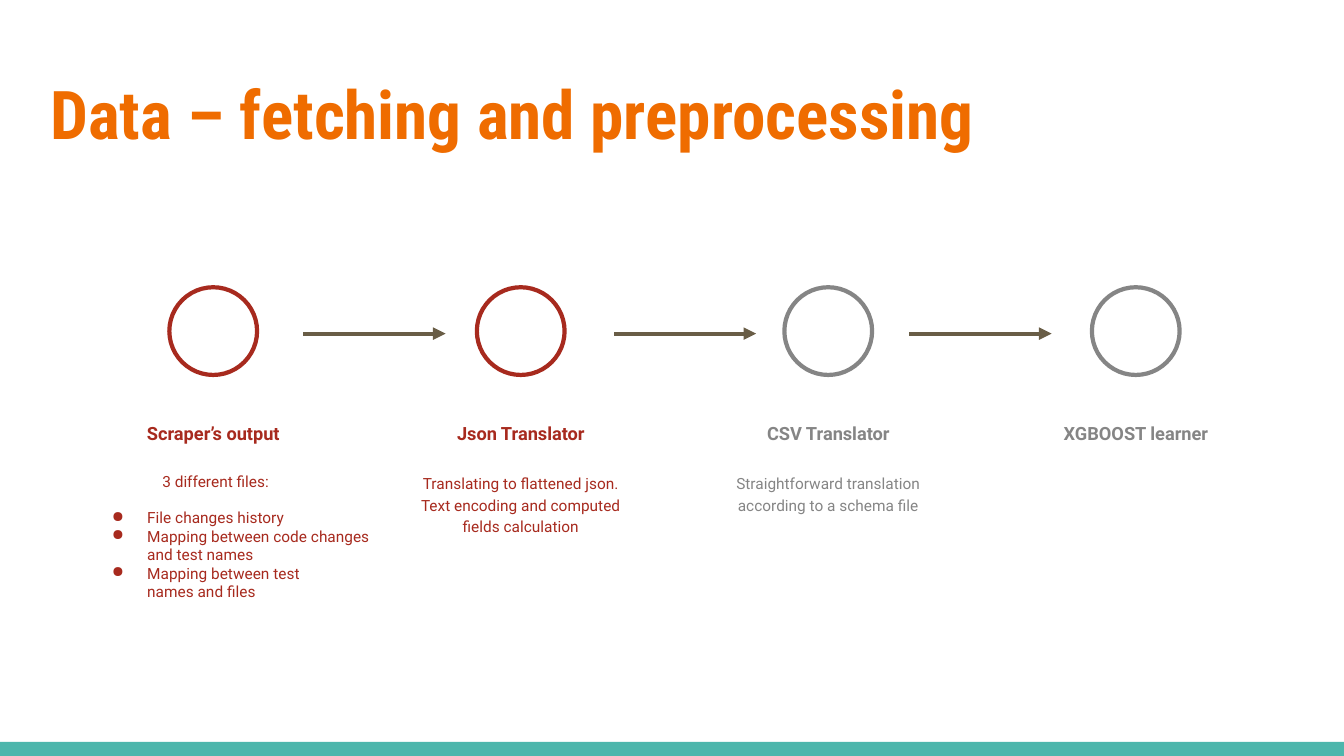
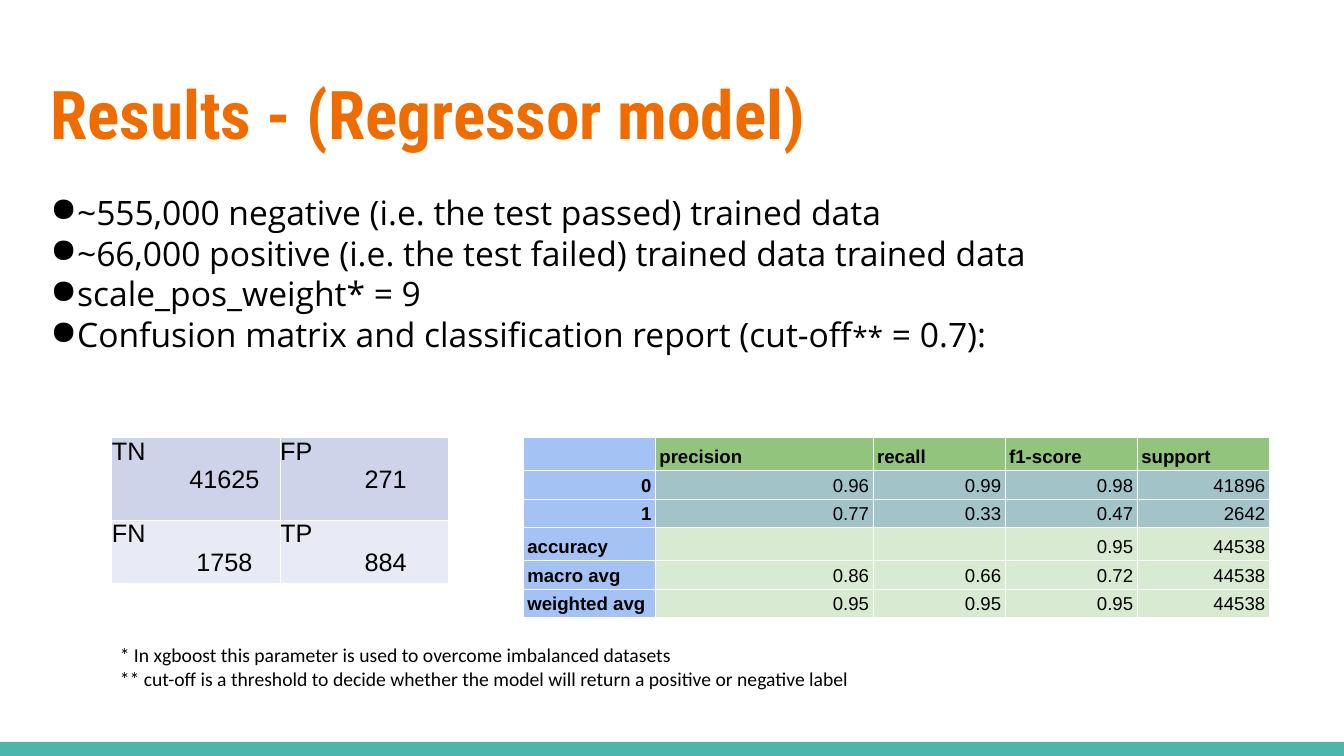
"""Build two slides on data preprocessing and model results."""
from collections import namedtuple
from lxml import etree
from pptx import Presentation, util as u
from pptx.dml.color import RGBColor
from pptx.enum import shapes, text
from pptx.oxml.ns import qn

ORANGE, TEAL, RED, GREY = "EF6C00", "4DB6AC", "A72A1E", "858585"
BROWN, BLACK, WHITE = "695D46", "000000", "FFFFFF"
BLUE, GREEN, SLATE, MINT = "A4C2F4", "93C47D", "A2C4C9", "D9EAD3"
LEFT, MID, RIGHT = text.PP_ALIGN.LEFT, text.PP_ALIGN.CENTER, text.PP_ALIGN.RIGHT
TOP, CENTRE, LOW = (text.MSO_ANCHOR.TOP, text.MSO_ANCHOR.MIDDLE,
                    text.MSO_ANCHOR.BOTTOM)

Look = namedtuple("Look", "font size color bold align space",
                  defaults=(False, LEFT, 1.0))


def rgb(code):
    """Turn a hex string into a colour."""
    return RGBColor.from_string(code)


def inch(*sizes):
    """Turn numbers into lengths."""
    return [u.Inches(size) for size in sizes]


def style(par, look):
    """Format a paragraph and its runs."""
    par.alignment = look.align
    par.line_spacing = look.space
    for run in par.runs:
        run.font.name = look.font
        run.font.size = u.Pt(look.size)
        run.font.bold = look.bold
        run.font.color.rgb = rgb(look.color)


def indent(par, left, first=0.0):
    """Set the left margin and first line offset."""
    props = par._p.get_or_add_pPr()
    props.set("marL", str(u.Inches(left)))
    props.set("indent", str(u.Inches(first)))


def bullet(par, left, first, color):
    """Give a paragraph a hanging round bullet."""
    indent(par, left, first)
    props = par._p.get_or_add_pPr()
    tint = etree.SubElement(props, qn("a:buClr"))
    etree.SubElement(tint, qn("a:srgbClr"), val=color)
    etree.SubElement(props, qn("a:buChar"), char="●")


def write(frame, lines, look):
    """Fill a text frame with one paragraph per line."""
    for num, line in enumerate(lines):
        par = frame.add_paragraph() if num else frame.paragraphs[0]
        par.text = line
        style(par, look)
    return frame.paragraphs


def box(slide, area, lines, look, inset, anchor=TOP):
    """Add a wrapping text box and return its paragraphs."""
    frame = slide.shapes.add_textbox(*inch(*area)).text_frame
    frame.word_wrap = True
    frame.vertical_anchor = anchor
    frame.margin_left = frame.margin_right = u.Inches(inset)
    frame.margin_top = frame.margin_bottom = u.Inches(inset)
    return write(frame, lines, look)


def base(deck, title):
    """Add a slide with the shared band and title."""
    slide = deck.slides.add_slide(deck.slide_layouts[6])
    band = slide.shapes.add_shape(shapes.MSO_SHAPE.RECTANGLE,
                                  *inch(0, 7.36, 13.33, 0.14))
    band.shadow.inherit = False
    band.fill.solid()
    band.fill.fore_color.rgb = rgb(TEAL)
    band.line.fill.background()
    box(slide, (0.45, 0.65, 12.42, 1.03), [title],
        Look("Roboto Condensed", 48, ORANGE, True, space=0.9), 0.05, CENTRE)
    return slide


def ring(slide, left, color):
    """Add an unfilled circle for one step."""
    oval = slide.shapes.add_shape(shapes.MSO_SHAPE.OVAL,
                                  *inch(left, 2.85, 0.87, 0.87))
    oval.shadow.inherit = False
    oval.fill.background()
    oval.line.color.rgb = rgb(color)
    oval.line.width = u.Pt(3)


def arrow(slide, left):
    """Add an arrow between two steps."""
    link = slide.shapes.add_connector(shapes.MSO_CONNECTOR.STRAIGHT,
                                      *inch(left, 3.31, left + 1.41, 3.31))
    link.line.color.rgb = rgb(BROWN)
    link.line.width = u.Pt(3)
    etree.SubElement(link.line._get_or_add_ln(), qn("a:tailEnd"),
                     type="triangle")
    etree.SubElement(link._element.spPr, qn("a:effectLst"))


def step(slide, left, name, note, color):
    """Add a circle with its name and optional note."""
    ring(slide, left, color)
    side = left - 0.81
    head = Look("Roboto", 13, color, True, MID, 1.15)
    box(slide, (side, 3.88, 2.49, 0.65), [name], head, 0.13, LOW)
    if note:
        look = head._replace(size=11, bold=False)
        box(slide, (side, 4.55, 2.49, 1.08), [note], look, 0.13)


def files(slide):
    """Add the list of scraped files."""
    lines = ["3 different files:", "File changes history",
             "Mapping between code changes\vand test names",
             "Mapping between test\vnames and files"]
    lead, *items = box(slide, (0.83, 4.55, 3.72, 1.5), lines,
                       Look("Roboto", 11, RED), 0.13)
    indent(lead, 0.65)
    lead.space_after = u.Pt(13)
    for item in items:
        bullet(item, 0.5, -0.35, RED)


def grid(slide, left, top, cols, rows):
    """Add a plain table with the given column and row sizes."""
    table = slide.shapes.add_table(
        len(rows), len(cols), *inch(left, top, sum(cols), sum(rows))).table
    for col, width in zip(table.columns, cols):
        col.width = u.Inches(width)
    for row, height in zip(table.rows, rows):
        row.height = u.Inches(height)
    return table


def paint(cell, color, side, edge):
    """Set the margins, white borders and fill of a cell."""
    cell.margin_left = cell.margin_right = u.Inches(side)
    cell.margin_top = cell.margin_bottom = u.Inches(edge)
    props = cell._tc.get_or_add_tcPr()
    for tag in ("a:lnL", "a:lnR", "a:lnT", "a:lnB"):
        line = etree.SubElement(props, qn(tag), w=str(u.Pt(1)))
        fill = etree.SubElement(line, qn("a:solidFill"))
        etree.SubElement(fill, qn("a:srgbClr"), val=WHITE)
    cell.fill.solid()
    cell.fill.fore_color.rgb = rgb(color)


def matrix(slide):
    """Add the confusion matrix."""
    data = [[("TN", "41625"), ("FP", "271")], [("FN", "1758"), ("TP", "884")]]
    table = grid(slide, 1.11, 4.34, [1.67] * 2, [0.82, 0.63])
    for r, (row, color) in enumerate(zip(data, ("CDD4EA", "E8EBF5"))):
        for c, (pair, shift) in enumerate(zip(row, (0.56, 0.42))):
            cell = table.cell(r, c)
            paint(cell, color, 0, 0)
            count = write(cell.text_frame, pair, Look("Arial", 18, BLACK))[1]
            count.alignment = MID
            indent(count, shift)


def shade(r, c):
    """Pick the fill of a report cell."""
    if c == 0:
        return BLUE
    return (GREEN, SLATE, SLATE, MINT, MINT, MINT)[r]


def report(slide):
    """Add the classification report."""
    data = [["", "precision", "recall", "f1-score", "support"],
            ["0", "0.96", "0.99", "0.98", "41896"],
            ["1", "0.77", "0.33", "0.47", "2642"],
            ["accuracy", "", "", "0.95", "44538"],
            ["macro avg", "0.86", "0.66", "0.72", "44538"],
            ["weighted avg", "0.95", "0.95", "0.95", "44538"]]
    table = grid(slide, 5.19, 4.34, [1.31, 2.16, 1.31, 1.31, 1.31],
                 [0.33, 0.27, 0.27, 0.33, 0.27, 0.27])
    for r, row in enumerate(data):
        for c, value in enumerate(row):
            cell = table.cell(r, c)
            paint(cell, shade(r, c), 0.04, 0.03)
            cell.vertical_anchor = LOW
            align = LEFT if value[:1].isalpha() else RIGHT
            look = Look("Arial", 13.3, BLACK, r == 0 or c == 0, align)
            par = write(cell.text_frame, [value], look)[0]
            if not value:
                for run in par.runs:
                    par._p.remove(run._r)
                etree.SubElement(par._p, qn("a:endParaRPr"), sz="1330")


def facts(slide):
    """Add the bullets about the training data."""
    look = Look("Open Sans", 24, BLACK, space=1.01)
    lines = ["~555,000 negative (i.e. the test passed) trained data",
             "~66,000 positive (i.e. the test failed) trained data trained data",
             "scale_pos_weight* = 9",
             "Confusion matrix and classification report (cut-off"]
    pars = box(slide, (0.45, 1.85, 12.42, 2.1), lines, look, 0.05)
    last = pars[-1]
    for part in ("**", " = 0.7):"):
        last.add_run().text = part
    style(last, look)
    last.runs[1].font.size = u.Pt(20)
    for par in pars:
        bullet(par, 0.25, -0.29, BLACK)


def notes(slide):
    """Add the two footnotes."""
    lines = ["* In xgboost this parameter is used to overcome imbalanced datasets",
             "** cut-off is a threshold to decide whether the model will "
             "return a positive or negative label"]
    for par in box(slide, (0.59, 6.28, 8.26, 0.67), lines,
                   Look("Calibri", 14, BLACK), 0.1):
        indent(par, 0.5)


def main():
    """Build and save the deck."""
    deck = Presentation()
    deck.slide_width, deck.slide_height = inch(13.33, 7.5)

    flow = base(deck, "Data – fetching and preprocessing")
    steps = [("Scraper’s output", "", RED),
             ("Json Translator", "Translating to flattened json.\v"
              "Text encoding and computed fields calculation", RED),
             ("CSV Translator",
              "Straightforward translation according to a schema file", GREY),
             ("XGBOOST learner", "", GREY)]
    for num, (name, note, color) in enumerate(steps):
        step(flow, 1.68 + 3.05 * num, name, note, color)
    files(flow)
    for left in (3.01, 6.09, 9.02):
        arrow(flow, left)

    score = base(deck, "Results - (Regressor model)")
    facts(score)
    matrix(score)
    report(score)
    notes(score)
    deck.save("out.pptx")


if __name__ == "__main__":
    main()
